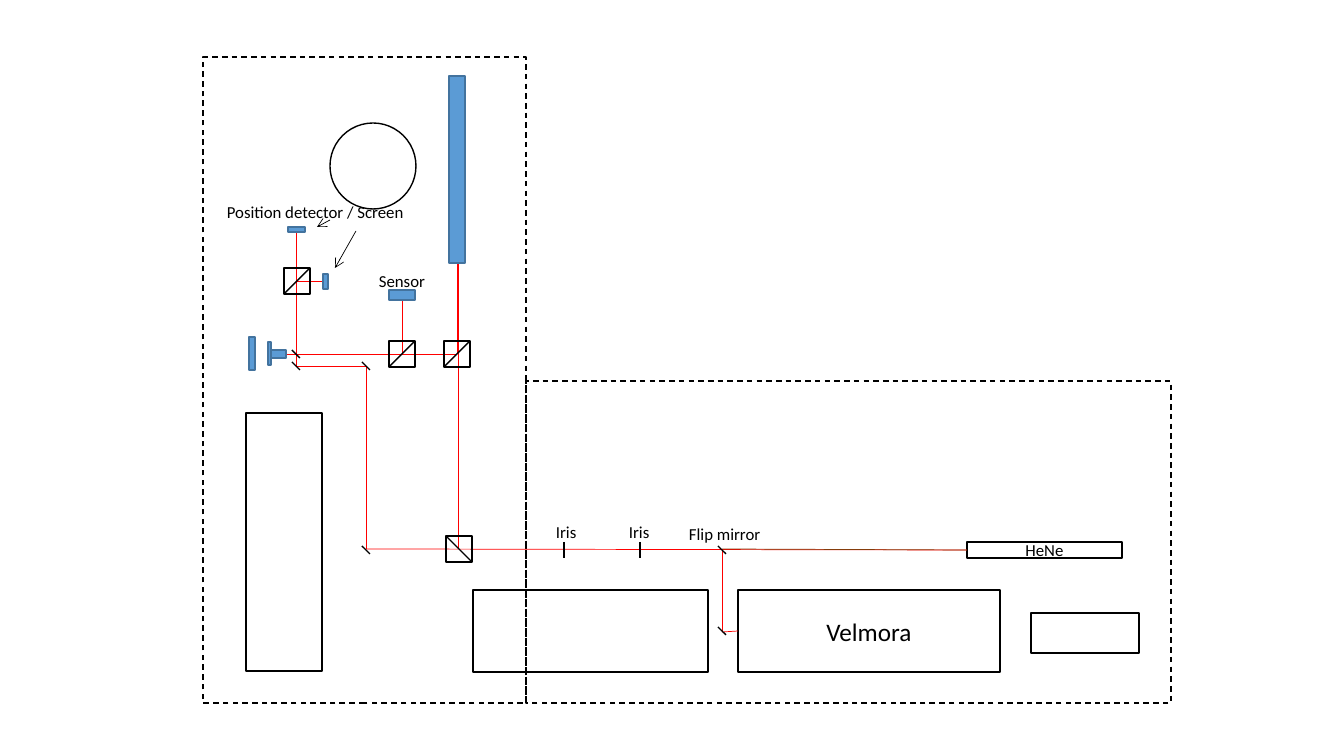
from lxml import etree
from pptx import Presentation
from pptx.dml.color import RGBColor
from pptx.enum.dml import MSO_LINE
from pptx.enum.shapes import MSO_CONNECTOR, MSO_SHAPE
from pptx.enum.text import MSO_ANCHOR, MSO_AUTO_SIZE, PP_ALIGN
from pptx.oxml.ns import qn
from pptx.util import Emu, Pt

RECT, OVAL = MSO_SHAPE.RECTANGLE, MSO_SHAPE.OVAL
STRAIGHT, DASH = MSO_CONNECTOR.STRAIGHT, MSO_LINE.DASH
PIXEL = 914400 / 100.8
BLACK, RED, BROWN = "000000", "FF0000", "843C0B"
BLUE, BLUE_EDGE = "5B9BD5", "43739E"
FONT = "Calibri"

# Content: boxes are left, top, width, height; lines are x1, y1, x2, y2
TABLES = [(203, 57, 323, 646), (526, 381, 645, 322)]
EQUIPMENT = [
    (RECT, (967, 542, 155, 16), "HeNe", 12),
    (RECT, (246, 413, 76, 258), "", 12),
    (OVAL, (330, 123, 86, 86), "", 12),
    (RECT, (473, 590, 235, 82), "", 12),
    (RECT, (738, 590, 262, 82), "Velmora", 18),
    (RECT, (1031, 613, 108, 40), "", 12),
]
BEAMS = [
    (967, 550, 366, 549), (722, 631, 722, 550), (722, 632, 738, 631),
    (458, 549, 458, 240), (285, 354, 457, 354), (366, 549, 366, 366),
    (296, 354, 296, 366), (296, 366, 366, 366), (457, 263, 457, 354),
    (402, 354, 402, 300), (296, 354, 296, 230), (296, 281, 323, 281),
]
HENE_BEAM = (722, 549, 967, 550)
DETECTORS = [
    (249, 337, 6, 33), (271, 350, 15, 8), (268, 342, 3, 23),
    (449, 76, 16, 187), (389, 290, 26, 10), (288, 227, 17, 5),
    (323, 274, 5, 15),
]
SPLITTER_SIZE = 26
SPLITTERS = [  # left, top, diagonal rises to the right
    (446, 536, False), (444, 341, True), (389, 341, True), (284, 268, True),
]
MIRROR_HALF = 4
MIRRORS = [(722, 631), (722, 550), (366, 550), (296, 366), (366, 366), (296, 354)]
IRISES, IRIS_TOP, IRIS_BOTTOM = [564, 640], 542, 558
LABEL_HEIGHT = 30
LABELS = [  # text, left, top, width
    ("Flip mirror", 679, 519, 93), ("Sensor", 369, 266, 67),
    ("Iris", 546, 517, 41), ("Iris", 619, 517, 41),
    ("Position detector / Screen", 217, 197, 200),
]
POINTERS = [(356, 231, 335, 268), (330, 220, 317, 227)]


def emu(lengths):
    return [Emu(round(length * PIXEL)) for length in lengths]


def color(value):
    return RGBColor.from_string(value)


def write(frame, text, size):
    frame.text = text
    for span in frame.paragraphs[0].runs:
        span.font.name = FONT
        span.font.size = Pt(size)
        span.font.color.rgb = color(BLACK)


def add_box(parent, kind, place, edge=BLACK, fill=None):
    box = parent.shapes.add_shape(kind, *emu(place))
    box.shadow.inherit = False
    if fill:
        box.fill.solid()
        box.fill.fore_color.rgb = color(fill)
    else:
        box.fill.background()
    box.line.color.rgb = color(edge)
    box.line.width = Pt(1)
    return box


def add_line(parent, ends, stroke=BLACK, width=1, arrow=False):
    line = parent.shapes.add_connector(STRAIGHT, *emu(ends))
    line.line.color.rgb = color(stroke)
    line.line.width = Pt(width)
    if arrow:
        outline = line._element.spPr.find(qn("a:ln"))
        etree.SubElement(outline, qn("a:tailEnd"), type="arrow")
    etree.SubElement(line._element.spPr, qn("a:effectLst"))


deck = Presentation()
deck.slide_width, deck.slide_height = emu((1344, 756))
page = deck.slides.add_slide(deck.slide_layouts[6])

# Optical tables
bench = page.shapes.add_group_shape()
for place in TABLES:
    add_box(bench, RECT, place).line.dash_style = DASH

# Lasers and other equipment
for kind, place, name, size in EQUIPMENT:
    box = add_box(page, kind, place)
    if name:
        write(box.text_frame, name, size)
        box.text_frame.vertical_anchor = MSO_ANCHOR.MIDDLE
        box.text_frame.paragraphs[0].alignment = PP_ALIGN.CENTER

# Beam path
for ends in BEAMS:
    add_line(page, ends, RED, 0.5)
add_line(page, HENE_BEAM, BROWN, 0.5)

# Detectors, screens and the tall blue unit
for place in DETECTORS:
    add_box(page, RECT, place, BLUE_EDGE, BLUE)

# Beam splitters
for left, top, rising in SPLITTERS:
    splitter = page.shapes.add_group_shape()
    right, bottom = left + SPLITTER_SIZE, top + SPLITTER_SIZE
    add_box(splitter, RECT, (left, top, SPLITTER_SIZE, SPLITTER_SIZE))
    start, end = (bottom, top) if rising else (top, bottom)
    add_line(splitter, (left, start, right, end))

# Mirrors and irises
for x, y in MIRRORS:
    add_line(page, (x - MIRROR_HALF, y - MIRROR_HALF, x + MIRROR_HALF, y + MIRROR_HALF))
for x in IRISES:
    add_line(page, (x, IRIS_TOP, x, IRIS_BOTTOM))

# Labels and their pointers
for text, left, top, width in LABELS:
    label = page.shapes.add_textbox(*emu((left, top, width, LABEL_HEIGHT)))
    label.text_frame.word_wrap = False
    label.text_frame.auto_size = MSO_AUTO_SIZE.SHAPE_TO_FIT_TEXT
    write(label.text_frame, text, 12)
for ends in POINTERS:
    add_line(page, ends, BLACK, 0.5, arrow=True)

deck.save("out.pptx")
